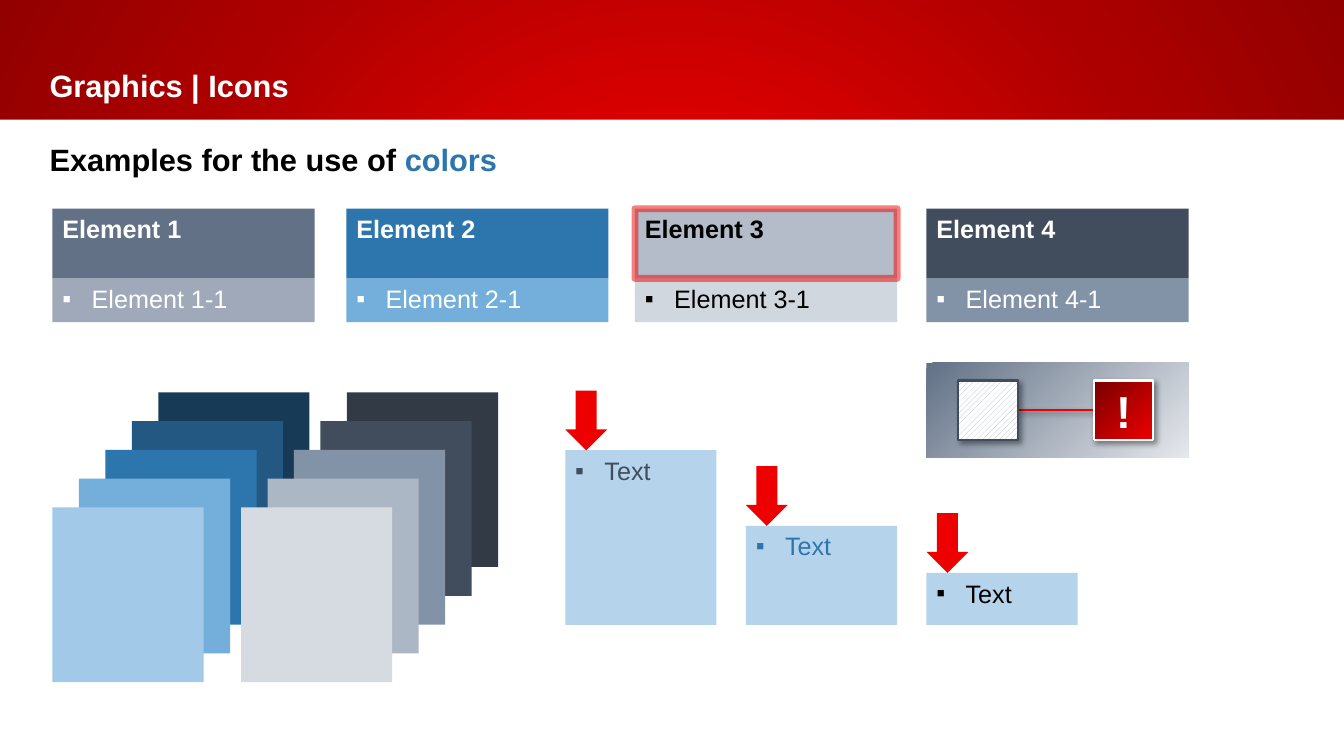
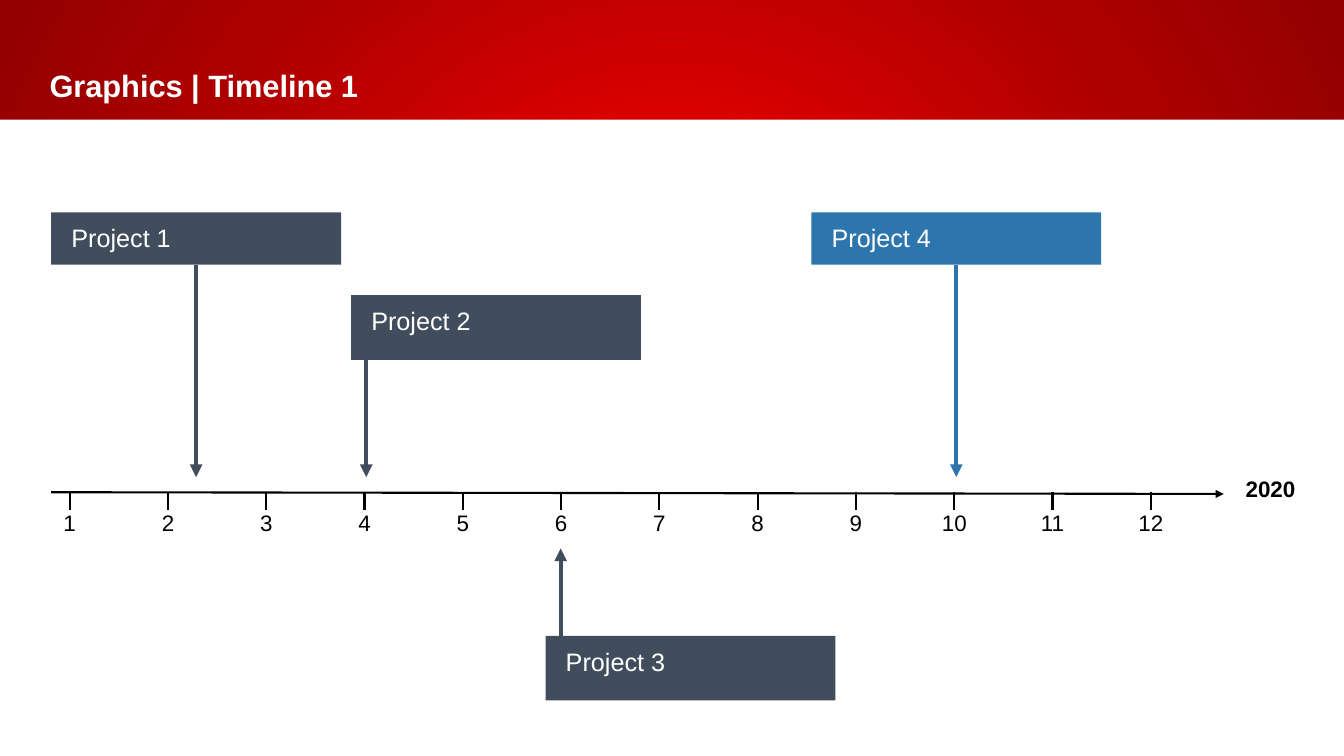
from collections import namedtuple

from lxml import etree
from pptx import Presentation
from pptx import util as u
from pptx.dml.color import RGBColor
from pptx.enum import dml, shapes, text
from pptx.oxml import ns

# Grid: 160 columns by 90 rows of square cells
COLS, ROWS = 160, 90
CELL = u.Inches(1 / 12)
FONT = "Arial"
PAD = (1.2, 0.6, 1.2, 0.6)
COLORS = {
    "white": "FFFFFF", "black": "000000", "red": "EF0000",
    "crimson": "AC0000", "maroon": "920000", "wine": "770000",
    "blue": "2D76AD", "navy": "173B56", "deep": "225882", "sky": "74AFDB",
    "ice": "A2C9E7", "pale": "B5D4EC",
    "ink": "313A45", "slate": "414D5C", "steel": "627186", "gray": "8393A7",
    "dust": "9FA9B9", "mist": "ACB7C5", "silver": "B3BCC8",
    "fog": "D1D7DE", "cloud": "D6DBE2", "haze": "E5E8EC",
}
Box = namedtuple("Box", "left top width height")


def rgb(color):
    return RGBColor.from_string(COLORS[color])


def cells(*counts):
    return [round(count * CELL) for count in counts]


def child(parent, tag, **attrs):
    return etree.SubElement(parent, ns.qn(tag),
                            {key: str(value) for key, value in attrs.items()})


def radial(fill, element, stops, center):
    """Turn a fill into a circular gradient; center is left, top, right, bottom."""
    fill.gradient()
    gradient = element.find(".//" + ns.qn("a:gradFill"))
    for part in list(gradient):
        gradient.remove(part)
    stop_list = child(gradient, "a:gsLst")
    for percent, color in stops:
        stop = child(stop_list, "a:gs", pos=percent * 1000)
        child(stop, "a:srgbClr", val=COLORS[color])
    circle = child(gradient, "a:path", path="circle")
    sides = {side: share * 1000 for side, share in zip("ltrb", center)}
    child(circle, "a:fillToRect", **sides)


def drop_shadow(part):
    effects = part.element.spPr.find(ns.qn("a:effectLst"))
    shadow = child(effects, "a:outerShdw", blurRad=u.Pt(4), dist=u.Pt(3),
                   dir=45 * 60000, algn="tl", rotWithShape=0)
    child(child(shadow, "a:srgbClr", val=COLORS["black"]), "a:alpha", val=40000)


def block(slide, box, color=None, line=None, width=1.5,
          kind=shapes.MSO_SHAPE.RECTANGLE):
    shape = slide.shapes.add_shape(kind, *cells(*box))
    shape.shadow.inherit = False
    if color:
        shape.fill.solid()
        shape.fill.fore_color.rgb = rgb(color)
    if line:
        shape.line.color.rgb = rgb(line)
        shape.line.width = u.Pt(width)
    else:
        shape.line.fill.background()
    return shape


def write(shape, words, size=18, color="white", bold=False, pad=PAD,
          align=text.PP_ALIGN.LEFT, anchor=text.MSO_ANCHOR.TOP, bullet=False):
    frame = shape.text_frame
    frame.word_wrap = True
    frame.vertical_anchor = anchor
    (frame.margin_left, frame.margin_top,
     frame.margin_right, frame.margin_bottom) = cells(*pad)
    paragraph = frame.paragraphs[0]
    paragraph.add_run().text = words
    if bullet:
        properties = paragraph._p.get_or_add_pPr()
        properties.set("marL", str(u.Inches(0.29)))
        properties.set("indent", str(-u.Inches(0.29)))
        child(properties, "a:buFont", typeface=FONT)
        child(properties, "a:buChar", char="▪")
    paragraph.alignment = align
    font = paragraph.font
    font.name, font.size, font.bold = FONT, u.Pt(size), bold
    font.color.rgb = rgb(color)
    return paragraph


def label(slide, box, words, **style):
    return write(slide.shapes.add_textbox(*cells(*box)), words, **style)


def line(slide, start, end, color="black", width=1.5, arrow=False):
    connector = slide.shapes.add_connector(
        shapes.MSO_CONNECTOR.STRAIGHT, *cells(*start, *end))
    connector.line.color.rgb = rgb(color)
    connector.line.width = u.Pt(width)
    if arrow:
        child(connector.line._ln, "a:tailEnd", type="triangle")
    child(connector.element.spPr, "a:effectLst")
    return connector


# Shared frame: red backdrop, white panel, title
def paint_backdrop(deck):
    master = deck.slide_master
    radial(master.background.fill, master.element,
           [(0, "red"), (16, "red"), (69, "crimson"), (100, "maroon")],
           (50, 50, 50, 50))


def titled_slide(deck, title):
    slide = deck.slides.add_slide(deck.slide_layouts[6])
    block(slide, Box(0, 14.25, COLS, ROWS - 14.25), "white")
    label(slide, Box(0, 5.9, 133, 8.3), title, size=22, bold=True,
          pad=(5.9, 1.9, 1.2, 1.9), anchor=text.MSO_ANCHOR.BOTTOM)
    return slide


# Regions of the icons slide
def element_card(slide, box, number, head, body, ink="white", marked=False):
    head_height = 8.3
    bottom = block(slide, Box(box.left, box.top + head_height, box.width,
                              box.height - head_height), body)
    write(bottom, f"Element {number}-1", color=ink, bullet=True)
    top = block(slide, box._replace(height=head_height), head,
                line="red" if marked else None, width=5)
    write(top, f"Element {number}", color=ink, bold=True)
    if marked:
        outline = top.line._ln.find(".//" + ns.qn("a:srgbClr"))
        child(outline, "a:alpha", val=50000)


def card_stack(slide, box, colors):
    """Cards from the top right at the back to the bottom left in front."""
    width, height = 18, 20.8
    steps = len(colors) - 1
    for index, color in enumerate(colors):
        left = box.left + (box.width - width) * (steps - index) / steps
        top = box.top + (box.height - height) * index / steps
        block(slide, Box(left, top, width, height), color)


def falling_steps(slide, box, steps):
    """Boxes on one baseline, each with an arrow pointing at its top."""
    width, arrow_width, arrow_height = 18, 5, 7.1
    pitch = (box.width - width) / (len(steps) - 1)
    for index, (height, ink) in enumerate(steps):
        left = box.left + index * pitch
        top = box.top + box.height - height
        write(block(slide, Box(left, top, width, height), "pale"), "Text",
              color=ink, bullet=True)
        block(slide, Box(left, top - arrow_height, arrow_width, arrow_height),
              "red", kind=shapes.MSO_SHAPE.DOWN_ARROW)


def icon_pair(slide, box):
    panel = block(slide, box)
    radial(panel.fill, panel.element, [(0, "haze"), (100, "steel")],
           (100, 100, 0, 0))
    size = 7.1
    top = box.top + (box.height - size) / 2
    hatch_left, alert_left = box.left + 3.8, box.left + 19.9
    middle = top + size / 2
    link = line(slide, (alert_left, middle), (hatch_left + size, middle), "red")

    hatch = block(slide, Box(hatch_left, top, size, size), line="slate")
    hatch.fill.patterned()
    hatch.fill.pattern = dml.MSO_PATTERN.WIDE_UPWARD_DIAGONAL
    hatch.fill.fore_color.rgb = rgb("silver")
    hatch.fill.back_color.rgb = rgb("white")

    alert = block(slide, Box(alert_left, top, size, size), line="white")
    radial(alert.fill, alert.element, [(0, "red"), (100, "wine")],
           (100, 100, 0, 0))
    write(alert, "!", size=32, bold=True, align=text.PP_ALIGN.CENTER,
          anchor=text.MSO_ANCHOR.MIDDLE)
    for part in (link, hatch, alert):
        drop_shadow(part)


def icons_slide(deck):
    slide = titled_slide(deck, "Graphics | Icons")
    heading = label(slide, Box(0, 14.25, 60.7, 8.3), "Examples for the use of ",
                    size=22, color="black", bold=True, pad=(5.9, 2.5, 1.2, 0.6))
    accent = heading.add_run()
    accent.text = "colors"
    accent.font.color.rgb = rgb("blue")

    elements = [
        (6.25, "steel", "dust", "white", False),
        (41.25, "blue", "sky", "white", False),
        (75.6, "silver", "fog", "black", True),
        (110.3, "slate", "gray", "white", False),
    ]
    for number, (left, *look) in enumerate(elements, 1):
        element_card(slide, Box(left, 24.85, 31.2, 13.5), number, *look)

    stacks = [
        (6.25, ["navy", "deep", "blue", "sky", "ice"]),
        (28.7, ["ink", "slate", "gray", "mist", "cloud"]),
    ]
    for left, colors in stacks:
        card_stack(slide, Box(left, 46.7, 30.6, 34.5), colors)

    falling_steps(slide, Box(67.3, 46.5, 61, 27.9),
                  [(20.8, "slate"), (11.8, "blue"), (6.2, "black")])
    icon_pair(slide, Box(110.3, 43.2, 31.2, 11.3))


# Regions of the timeline slide
def month_axis(slide, box):
    line(slide, (box.left, box.top), (box.left + box.width, box.top + 0.2),
         arrow=True)
    first, pitch, tick, width = box.left + 2.2, 11.7, 2.1, 4.9
    for month in range(1, 13):
        x = first + (month - 1) * pitch
        line(slide, (x, box.top), (x, box.top + tick))
        label(slide, Box(x - width / 2, box.top + 2, width, box.height - 2),
              str(month), size=16, color="black", pad=(0, 0, 0, 0),
              align=text.PP_ALIGN.CENTER)
    label(slide, Box(box.left + box.width - 0.8, box.top - 2.6, 12.7, 6.2),
          "2020", size=16, color="black", bold=True,
          align=text.PP_ALIGN.CENTER)


def project(slide, box, name, color, pointer, axis):
    """A project box with an arrow that stops short of the axis."""
    x = box.left + pointer
    above = box.top < axis.top
    edge = box.top + box.height if above else box.top
    tip = axis.top - 1.8 if above else axis.top + axis.height + 0.6
    line(slide, (x, edge), (x, tip), color, width=3, arrow=True)
    write(block(slide, box, color), name, pad=(2.4, 1.2, 2.4, 1.2))


def timeline_slide(deck):
    slide = titled_slide(deck, "Graphics | Timeline 1")
    axis = Box(6.1, 58.6, 139.6, 6.1)
    month_axis(slide, axis)
    width = 34.5
    center, edge = width / 2, 1.8
    projects = [
        (6.1, 25.3, 6.2, "slate", center),
        (41.8, 35.15, 7.7, "slate", edge),
        (64.95, 75.7, 7.7, "slate", edge),
        (96.6, 25.3, 6.2, "blue", center),
    ]
    for number, (left, top, height, color, pointer) in enumerate(projects, 1):
        project(slide, Box(left, top, width, height), f"Project {number}",
                color, pointer, axis)


def main():
    deck = Presentation()
    deck.slide_width, deck.slide_height = cells(COLS, ROWS)
    paint_backdrop(deck)
    icons_slide(deck)
    timeline_slide(deck)
    deck.save("out.pptx")


if __name__ == "__main__":
    main()
